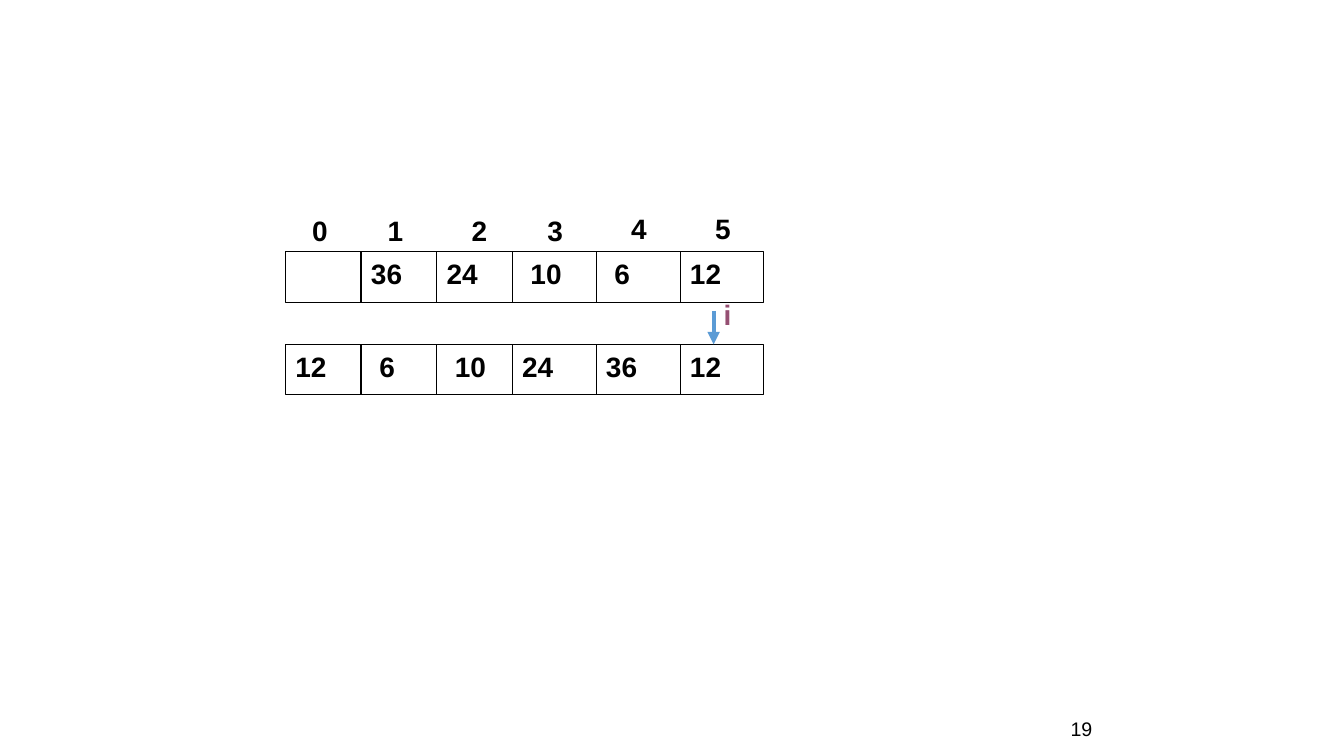
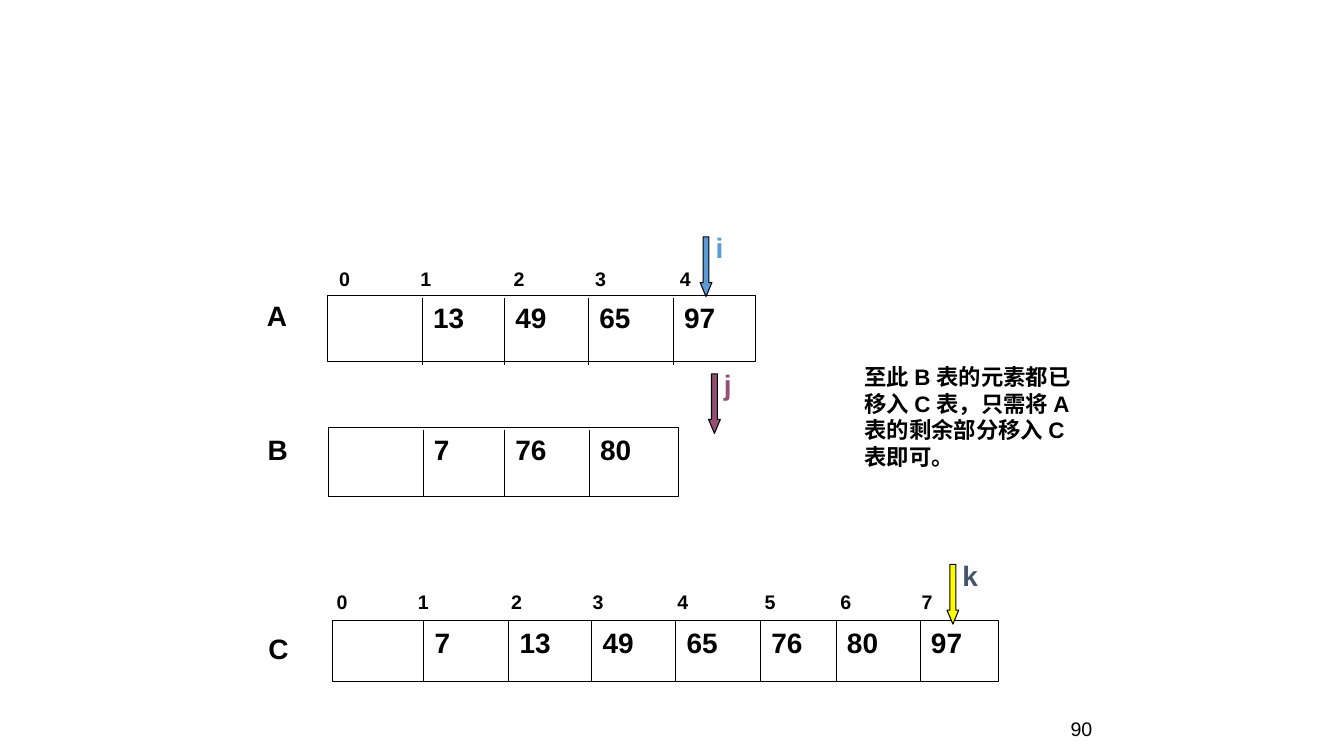
import dataclasses
import itertools

import pptx
import pptx.dml.color
import pptx.enum.shapes
import pptx.enum.text
import pptx.oxml.ns
import pptx.util
from lxml import etree

CELL = 1 / 12  # one grid column or row, in inches


@dataclasses.dataclass(frozen=True)
class Theme:
    font: str = "Arial"
    ink: str = "000000"
    paper: str = "FFFFFF"
    blue: str = "5B9BD5"
    plum: str = "954F72"
    yellow: str = "FAFD00"
    slate: str = "44546A"
    value_size: int = 20
    note_size: int = 16
    small_size: int = 14
    hairline: float = 0.75
    arrow_line: float = 3


def grid(count):
    return pptx.util.Inches(count * CELL)


def rgb(code):
    return pptx.dml.color.RGBColor.from_string(code)


def add_element(parent, tag, **attributes):
    return etree.SubElement(parent, pptx.oxml.ns.qn(tag), attributes)


class Board:
    """Holds the deck, the theme and the current page; lengths are grid cells."""

    def __init__(self, theme):
        self.theme = theme
        self.deck = pptx.Presentation()
        self.deck.slide_width = pptx.util.Inches(13.34)
        self.deck.slide_height = pptx.util.Inches(7.5)
        self.page = None

    def new_page(self, number):
        self.page = self.deck.slides.add_slide(self.deck.slide_layouts[6])
        box = self.text(number, 106.3, 82.8, 25, 6, size=self.theme.small_size,
                        bold=False, grow=False)
        box.text_frame.vertical_anchor = pptx.enum.text.MSO_ANCHOR.BOTTOM
        box.text_frame.paragraphs[0].alignment = pptx.enum.text.PP_ALIGN.RIGHT

    def text(self, words, left, top, width=8, height=5.3, size=None, color=None,
             bold=True, grow=True, tabs=(), shapes=None):
        shapes = self.page.shapes if shapes is None else shapes
        box = shapes.add_textbox(grid(left), grid(top), grid(width), grid(height))
        frame = box.text_frame
        frame.word_wrap = True
        if grow:
            frame.auto_size = pptx.enum.text.MSO_AUTO_SIZE.SHAPE_TO_FIT_TEXT
        para = frame.paragraphs[0]
        para.text = words
        if tabs:
            stops = add_element(para._p.get_or_add_pPr(), "a:tabLst")
            for stop in tabs:
                add_element(stops, "a:tab", pos=str(int(grid(stop))), algn="l")
        para.font.name = self.theme.font
        para.font.size = pptx.util.Pt(size or self.theme.value_size)
        para.font.bold = bold
        para.font.color.rgb = rgb(color or self.theme.ink)
        return box

    def shape(self, kind, left, top, width, height, fill, shapes=None):
        shapes = self.page.shapes if shapes is None else shapes
        shape = shapes.add_shape(kind, grid(left), grid(top), grid(width), grid(height))
        shape.shadow.inherit = False
        shape.fill.solid()
        shape.fill.fore_color.rgb = rgb(fill)
        shape.line.color.rgb = rgb(self.theme.ink)
        shape.line.width = pptx.util.Pt(self.theme.hairline)
        return shape

    def vertical(self, x, top, bottom, color=None, width=None, arrow=False, shapes=None):
        shapes = self.page.shapes if shapes is None else shapes
        line = shapes.add_connector(pptx.enum.shapes.MSO_CONNECTOR.STRAIGHT,
                                    grid(x), grid(top), grid(x), grid(bottom))
        line.line.color.rgb = rgb(color or self.theme.ink)
        line.line.width = pptx.util.Pt(width or self.theme.hairline)
        properties = line._element.spPr
        if arrow:
            add_element(properties.find(pptx.oxml.ns.qn("a:ln")), "a:tailEnd", type="triangle")
        add_element(properties, "a:effectLst")

    def array(self, edges, top, height, values, insets=None, sag=0, overhang=0):
        """Draw a framed row of cells; dividers start at sag and may overhang."""
        self.shape(pptx.enum.shapes.MSO_SHAPE.RECTANGLE, edges[0], top,
                   edges[-1] - edges[0], height, self.theme.paper)
        for edge in edges[1:-1]:
            self.vertical(edge, top + sag, top + height + overhang)
        for edge, value, inset in zip(edges, values, insets or itertools.repeat(0.1)):
            if value:
                self.text(value, edge + inset, top)

    def indices(self, count, left, top, width, stops):
        self.text("\t".join(map(str, range(count))), left, top, width, 4.1,
                  size=self.theme.small_size, tabs=stops[:count - 1])

    def line_pointer(self, name, x, top, bottom):
        group = self.page.shapes.add_group_shape().shapes
        self.vertical(x, top, bottom, self.theme.blue, self.theme.arrow_line, True, group)
        self.text(name, x, top - 2.2, 4, color=self.theme.plum, shapes=group)

    def block_pointer(self, name, left, top, fill, color):
        group = self.page.shapes.add_group_shape().shapes
        arrow = self.shape(pptx.enum.shapes.MSO_SHAPE.DOWN_ARROW, left, top, 1.4, 7.1,
                           fill, group)
        arrow.adjustments[0] = 0.5
        arrow.adjustments[1] = 1.19
        self.text(name, left + 0.65, top - 1.35, 6.4, color=color, shapes=group)


def insertion_page(board):
    board.new_page("19")
    edges = list(itertools.accumulate([34, 9, 9, 9, 10, 10, 10]))

    # Index labels
    for index, (edge, inset) in enumerate(zip(edges, (2, 2, 3, 3, 3, 3))):
        board.text(str(index), edge + inset, 24.8 if index < 4 else 24.6, 4)

    # Array before and after sorting
    board.array(edges, 30, 6, ("", "36", "24", "10", "6", "12"), (0, 0, 0, 1, 1, 0))
    board.array(edges, 41, 6, ("12", "6", "10", "24", "36", "12"), (0, 1, 1, 0, 0, 0))
    board.line_pointer("i", 85, 37, 41)


def merge_page(board):
    theme = board.theme
    board.new_page("90")
    stops = (9.7, 20.8, 30.5, 40.6, 51, 60, 69.7)

    # Source lists A and B
    board.indices(5, 39.2, 31.2, 51, stops)
    board.array((39, 50.3, 60.1, 70.1, 80.2, 90), 35.2, 7.9,
                ("", "13", "49", "65", "97"), sag=0.3, overhang=0.3)
    board.array((39.1, 50.4, 60.1, 70.2, 80.8), 50.9, 8.2,
                ("", "7", "76", "80"), sag=0.3)

    # Merged list C
    board.array((39.6, 50.5, 60.6, 70.5, 80.5, 90.6, 99.6, 109.6, 118.9), 73.9, 7.2,
                ("", "7", "13", "49", "65", "76", "80", "97"), overhang=0.1)
    board.indices(8, 38.9, 69.7, 80, stops)

    # List names
    for name, left, top in (("A", 30.6, 34.9), ("B", 30.7, 50.9), ("C", 30.8, 74.6)):
        board.text(name, left, top)

    # Pointers and remark
    board.block_pointer("i", 83.4, 28.2, theme.blue, theme.blue)
    board.block_pointer("j", 84.4, 44.5, theme.plum, theme.plum)
    board.block_pointer("k", 112.8, 67.2, theme.yellow, theme.slate)
    board.text("至此 B 表的元素都已移入 C 表，只需将 A 表的剩余部分移入 C 表即可。",
               101.8, 42.6, 29.2, 14, size=theme.note_size)


def main():
    board = Board(Theme())
    insertion_page(board)
    merge_page(board)
    board.deck.save("out.pptx")


if __name__ == "__main__":
    main()
